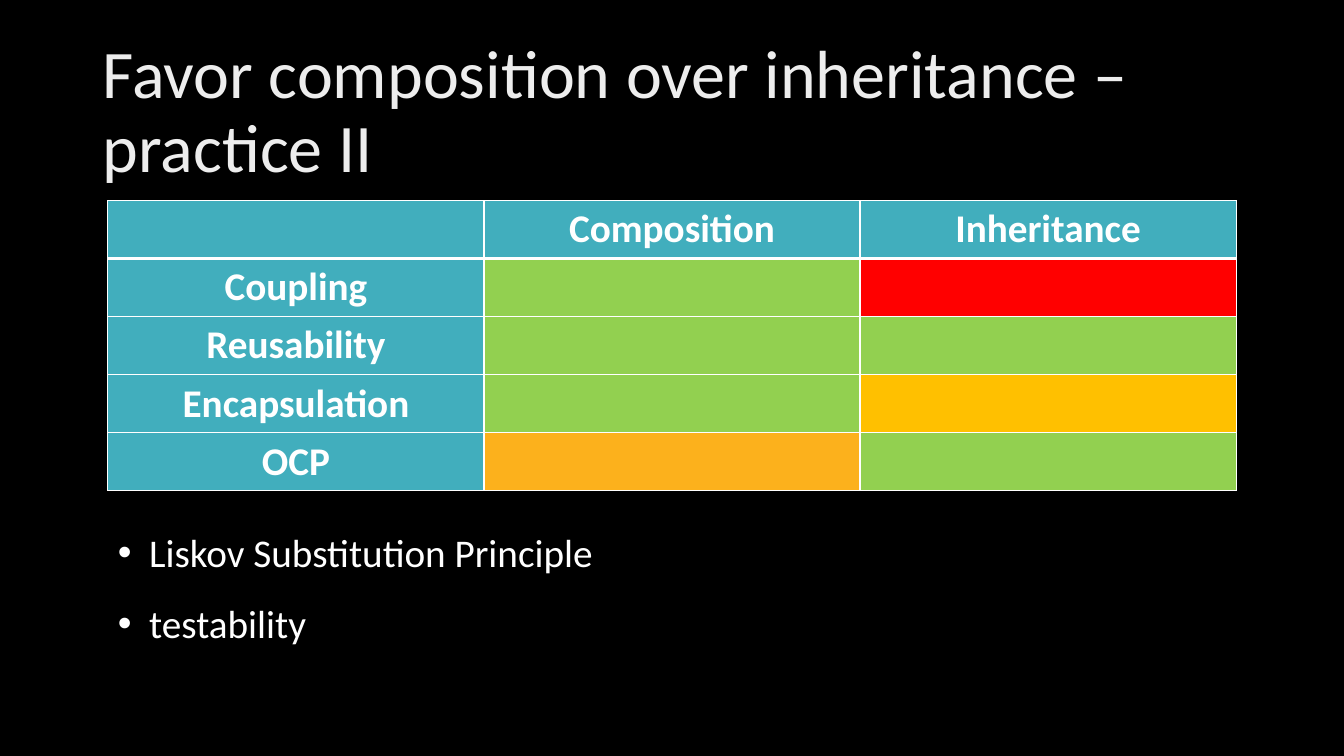
from dataclasses import dataclass

from lxml.etree import SubElement
from pptx import Presentation
from pptx.dml.color import RGBColor
from pptx.enum.text import MSO_ANCHOR, MSO_AUTO_SIZE, PP_ALIGN
from pptx.oxml.ns import qn
from pptx.util import Emu, Pt


@dataclass(frozen=True)
class Theme:
    font: str = "Calibri"
    background: str = "000000"
    title: str = "EDEDED"
    text: str = "FFFFFF"
    border: str = "FFFFFF"
    header: str = "41AEBD"
    good: str = "92D050"
    fair: str = "FFC000"
    weak: str = "FCB11C"
    bad: str = "FF0000"
    title_size: float = 48.6
    text_size: float = 28
    thin_line: int = 1
    thick_line: int = 3


THEME = Theme()
PX = 9144
SLIDE_SIZE = (1333, 750)
TITLE_BOX = (92, 40, 1150, 145)
TABLE_BOX = (107, 199, 1119, 285)
LIST_BOX = (107, 496, 1119, 144)
LIST_INDENT = 31

TITLE = "Favor composition over inheritance – practice II"
APPROACHES = ["", "Composition", "Inheritance"]
RATINGS = [
    ("Coupling", THEME.good, THEME.bad),
    ("Reusability", THEME.good, THEME.good),
    ("Encapsulation", THEME.good, THEME.fair),
    ("OCP", THEME.weak, THEME.good),
]
TOPICS = ["Liskov Substitution Principle", "testability"]


def px(length):
    return Emu(length * PX)


def place(shape, box):
    shape.left, shape.top, shape.width, shape.height = map(px, box)


def format_paragraph(paragraph, size, color, bold=False):
    for run in paragraph.runs:
        run.font.name = THEME.font
        run.font.size = Pt(size)
        run.font.bold = bold
        run.font.color.rgb = RGBColor.from_string(color)


def add_title(slide, box):
    title = slide.shapes.title
    place(title, box)
    frame = title.text_frame
    frame.text = TITLE
    frame.word_wrap = True
    frame.auto_size = MSO_AUTO_SIZE.NONE
    frame.vertical_anchor = MSO_ANCHOR.MIDDLE
    paragraph = frame.paragraphs[0]
    paragraph.alignment = PP_ALIGN.LEFT
    paragraph.line_spacing = 0.9
    format_paragraph(paragraph, THEME.title_size, THEME.title)


def add_borders(cell, widths):
    properties = cell._tc.get_or_add_tcPr()
    for side, width in widths.items():
        line = SubElement(properties, qn(f"a:ln{side}"), w=str(Pt(width)))
        fill = SubElement(line, qn("a:solidFill"))
        SubElement(fill, qn("a:srgbClr"), val=THEME.border)


def style_cell(cell, text, color, widths):
    add_borders(cell, widths)
    cell.fill.solid()
    cell.fill.fore_color.rgb = RGBColor.from_string(color)
    if text:
        cell.text_frame.text = text
        paragraph = cell.text_frame.paragraphs[0]
        paragraph.alignment = PP_ALIGN.CENTER
        format_paragraph(paragraph, THEME.text_size, THEME.text, bold=True)


def add_ratings_table(slide, box):
    rows = [[(name, THEME.header) for name in APPROACHES]]
    for quality, *colors in RATINGS:
        rows.append([(quality, THEME.header)] + [("", color) for color in colors])
    table = slide.shapes.add_table(len(rows), len(APPROACHES), *map(px, box)).table
    for row_index, row in enumerate(rows):
        widths = dict.fromkeys("LRTB", THEME.thin_line)
        if row_index == 0:
            widths["B"] = THEME.thick_line
        elif row_index == 1:
            widths["T"] = THEME.thick_line
        for column_index, (text, color) in enumerate(row):
            style_cell(table.cell(row_index, column_index), text, color, widths)


def add_topic_list(slide, box):
    body = slide.placeholders[1]
    place(body, box)
    frame = body.text_frame
    frame.text = "\n".join(TOPICS)
    frame.word_wrap = True
    frame.auto_size = MSO_AUTO_SIZE.NONE
    frame.vertical_anchor = MSO_ANCHOR.TOP
    for paragraph in frame.paragraphs:
        paragraph.line_spacing = 1.5
        paragraph.space_before = Pt(0)
        format_paragraph(paragraph, THEME.text_size, THEME.text)
        properties = paragraph._p.get_or_add_pPr()
        properties.set("marL", str(px(LIST_INDENT)))
        properties.set("indent", str(-px(LIST_INDENT)))
        bullet_color = SubElement(properties, qn("a:buClr"))
        SubElement(bullet_color, qn("a:srgbClr"), val=THEME.text)
        SubElement(properties, qn("a:buFont"), typeface="Arial")
        SubElement(properties, qn("a:buChar"), char="•")


def main():
    presentation = Presentation()
    presentation.slide_width, presentation.slide_height = map(px, SLIDE_SIZE)
    slide = presentation.slides.add_slide(presentation.slide_layouts[1])
    slide.background.fill.solid()
    slide.background.fill.fore_color.rgb = RGBColor.from_string(THEME.background)
    add_title(slide, TITLE_BOX)
    add_ratings_table(slide, TABLE_BOX)
    add_topic_list(slide, LIST_BOX)
    presentation.save("out.pptx")


if __name__ == "__main__":
    main()
